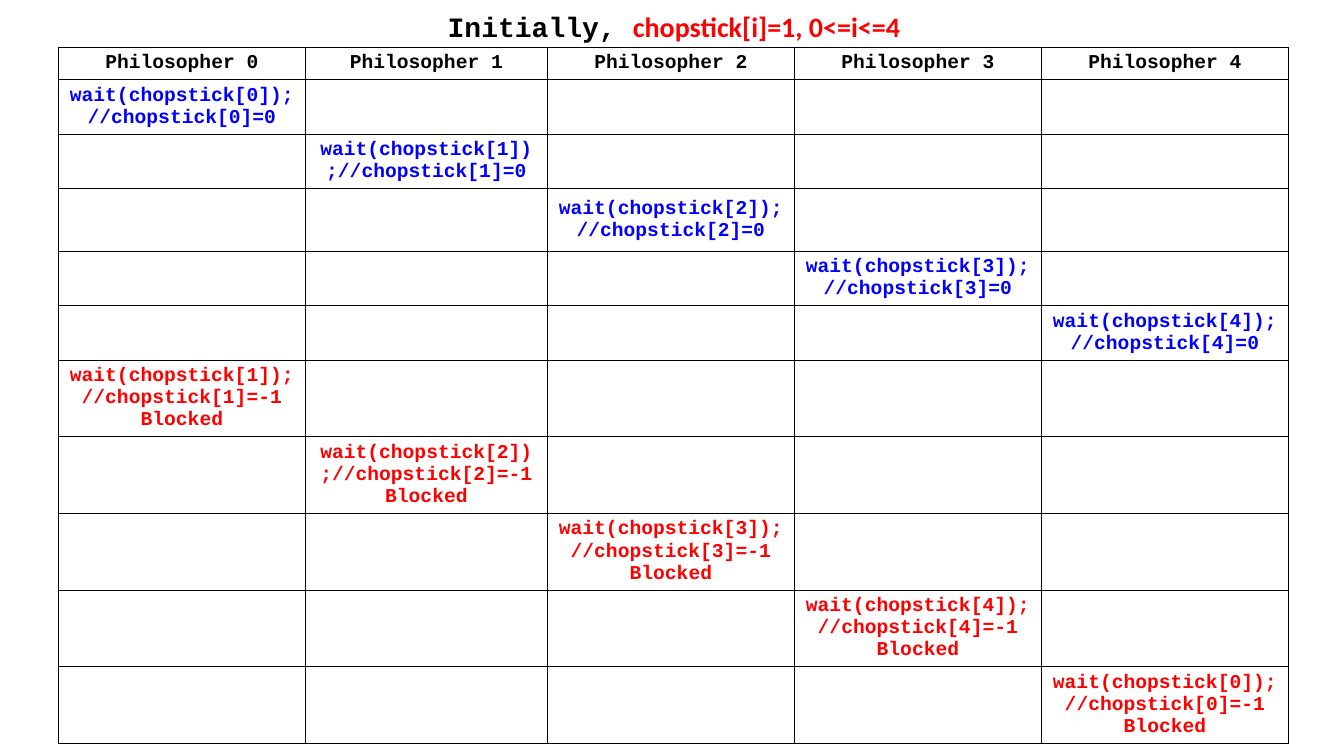
from lxml.etree import SubElement
from pptx import Presentation
from pptx.dml.color import RGBColor
from pptx.enum.text import MSO_ANCHOR, PP_ALIGN
from pptx.oxml.ns import qn
from pptx.util import Inches, Pt

PHILOSOPHERS = 5
COLUMN_WIDTHS = [2.45, 2.4, 2.45, 2.45, 2.45]
ROW_HEIGHTS = [0.32, 0.54, 0.54, 0.62, 0.54, 0.54] + [0.76] * PHILOSOPHERS
BLACK, BLUE, RED = "000000", "0000FF", "FF0000"


def color(hex_string):
    return RGBColor.from_string(hex_string)


def add_text(paragraph, text, font="Courier New", size=14, fill=BLACK):
    paragraph.alignment = PP_ALIGN.CENTER
    run = paragraph.add_run()
    run.text = text
    run.font.name = font
    run.font.size = Pt(size)
    run.font.bold = True
    run.font.color.rgb = color(fill)


def add_borders(cell):
    properties = cell._tc.get_or_add_tcPr()
    for position, side in enumerate(("lnL", "lnR", "lnT", "lnB")):
        line = properties.makeelement(qn(f"a:{side}"), {"w": str(Pt(0.75))})
        fill = SubElement(line, qn("a:solidFill"))
        SubElement(fill, qn("a:srgbClr"), val=BLACK)
        properties.insert(position, line)


def fill_cell(cell, lines, fill):
    frame = cell.text_frame
    for index, text in enumerate(lines):
        paragraph = frame.add_paragraph() if index else frame.paragraphs[0]
        add_text(paragraph, text, fill=fill)


def add_title(slide, left, top, width, height):
    box = slide.shapes.add_textbox(Inches(left), Inches(top), Inches(width), Inches(height))
    box.text_frame.word_wrap = True
    paragraph = box.text_frame.paragraphs[0]
    add_text(paragraph, "Initially, ", size=20)
    add_text(paragraph, "chopstick[i]=1, 0<=i<=4", font="Calibri", size=20, fill=RED)


def add_trace_table(slide, left, top):
    shape = slide.shapes.add_table(
        len(ROW_HEIGHTS), PHILOSOPHERS, Inches(left), Inches(top),
        Inches(sum(COLUMN_WIDTHS)), Inches(sum(ROW_HEIGHTS)))
    table = shape.table
    table.first_row = False
    table.horz_banding = False
    for column, width in zip(table.columns, COLUMN_WIDTHS):
        column.width = Inches(width)
    for row, height in zip(table.rows, ROW_HEIGHTS):
        row.height = Inches(height)
    for cell in table.iter_cells():
        cell.fill.background()
        cell.vertical_anchor = MSO_ANCHOR.MIDDLE
        add_borders(cell)
    for number in range(PHILOSOPHERS):
        right = (number + 1) % PHILOSOPHERS
        first_wait = [f"wait(chopstick[{number}]);//chopstick[{number}]=0"]
        second_wait = [f"wait(chopstick[{right}]);//chopstick[{right}]=-1", "Blocked"]
        fill_cell(table.cell(0, number), [f"Philosopher {number}"], BLACK)
        fill_cell(table.cell(1 + number, number), first_wait, BLUE)
        fill_cell(table.cell(1 + PHILOSOPHERS + number, number), second_wait, RED)


def main():
    presentation = Presentation()
    presentation.slide_width = Inches(13.33)
    presentation.slide_height = Inches(7.5)
    slide = presentation.slides.add_slide(presentation.slide_layouts[6])
    add_trace_table(slide, 0.58, 0.47)
    add_title(slide, 2.47, 0.05, 8.43, 0.44)
    presentation.save("out.pptx")


if __name__ == "__main__":
    main()
